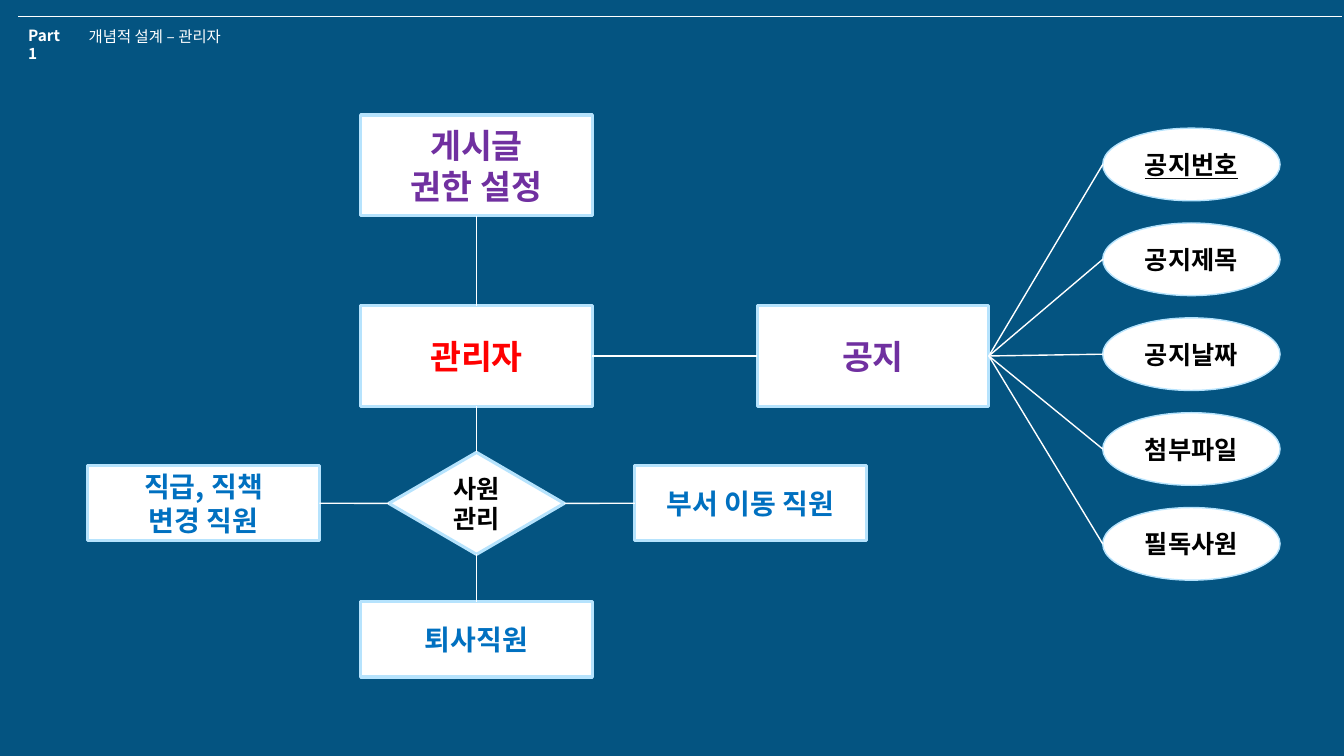
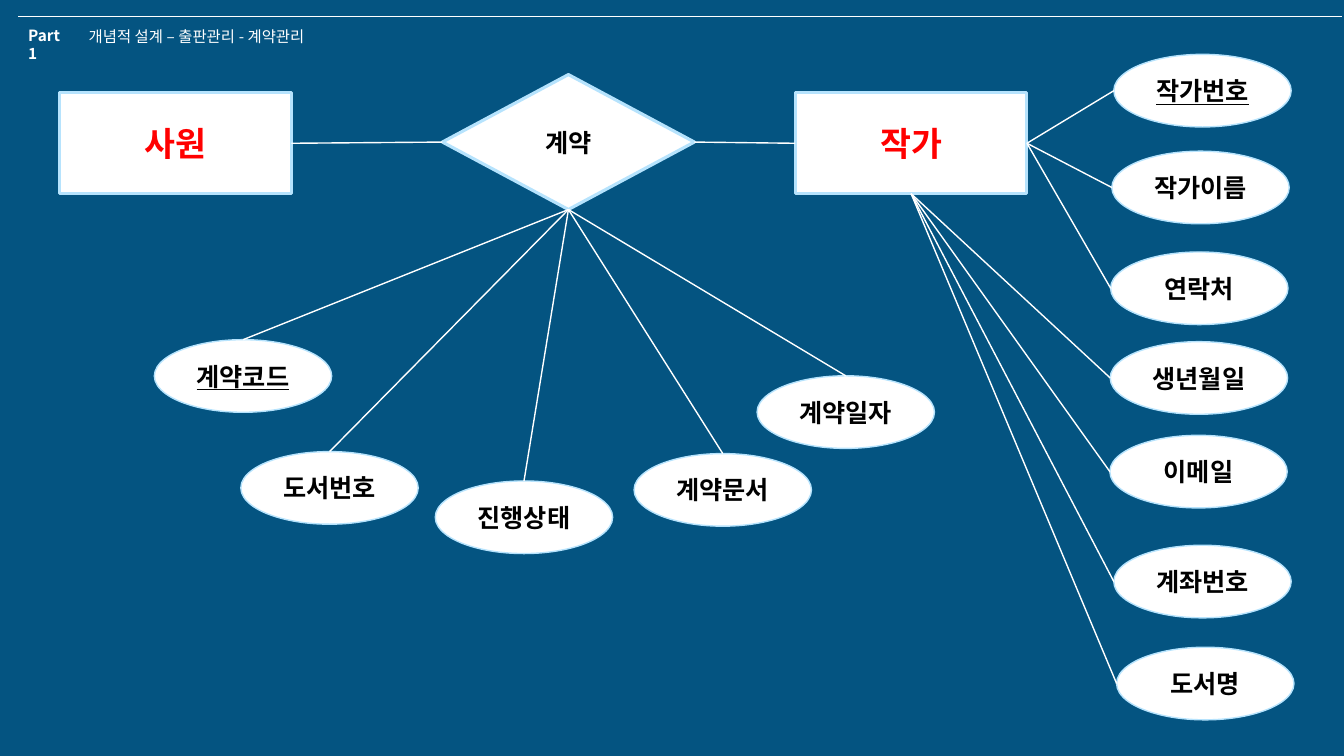
from lxml.etree import SubElement
from pptx import Presentation
from pptx.dml.color import RGBColor
from pptx.enum.shapes import MSO_CONNECTOR, MSO_SHAPE
from pptx.enum.text import MSO_ANCHOR, PP_ALIGN
from pptx.oxml.ns import qn
from pptx.util import Cm, Pt

FONT = "Noto Sans CJK KR"
NAVY, WHITE, SKY, BLACK = "045481", "FFFFFF", "B6E3FD", "000000"
RED, PURPLE, BLUE = "FF0000", "7030A0", "0070C0"

# Side of a shape: share of its width and height, connection site
SIDES = {
    "top": (0.5, 0, 0),
    "left": (0, 0.5, 1),
    "bottom": (0.5, 1, 2),
    "right": (1, 0.5, 3),
}


def color(hex_text):
    return RGBColor.from_string(hex_text)


class DiagramDeck:
    """Holds the shared style and the current slide."""

    def __init__(self):
        self.deck = Presentation()
        self.deck.slide_width, self.deck.slide_height = Cm(33.87), Cm(19.05)
        self.page = None

    def add_page(self, title):
        self.page = self.deck.slides.add_slide(self.deck.slide_layouts[5])
        background = self.page.background.fill
        background.solid()
        background.fore_color.rgb = color(NAVY)
        self.line(Cm(0.46), Cm(0.41), Cm(33.83), Cm(0.41), 0.5)

        # Header: part number and title
        heading = self.page.shapes.title
        heading.left, heading.top = Cm(1.98), Cm(0.56)
        heading.width, heading.height = Cm(15), Cm(0.74)
        part = self.page.shapes.add_textbox(Cm(0.46), Cm(0.53), Cm(1.55), Cm(0.74))
        for box, text, bold in ((heading, title, False), (part, "Part 1", True)):
            box.text_frame.vertical_anchor = MSO_ANCHOR.TOP
            self.label(box, text, 11, WHITE, bold, PP_ALIGN.LEFT)

    def label(self, box, text, size, ink, bold=True, align=PP_ALIGN.CENTER,
              underline=None):
        frame = box.text_frame
        frame.word_wrap = True
        frame.text = text
        for para in frame.paragraphs:
            para.alignment = align
            font = para.font
            font.size, font.bold, font.underline = Pt(size), bold, underline
            font.color.rgb = color(ink)
            font.name = FONT
            # Korean glyphs take the East Asian typeface
            properties = para._p.pPr.find(qn("a:defRPr"))
            SubElement(properties, qn("a:ea"), typeface=FONT)

    def node(self, kind, text, left, top, width, height, size, ink,
             border=2.25, underline=None):
        shape = self.page.shapes.add_shape(
            kind, Cm(left), Cm(top), Cm(width), Cm(height))
        shape.shadow.inherit = False
        shape.fill.solid()
        shape.fill.fore_color.rgb = color(WHITE)
        shape.line.color.rgb = color(SKY)
        shape.line.width = Pt(border)
        shape.text_frame.vertical_anchor = MSO_ANCHOR.MIDDLE
        self.label(shape, text, size, ink, underline=underline)
        return shape

    def entity(self, text, left, top, ink):
        return self.node(MSO_SHAPE.RECTANGLE, text, left, top, 5.84, 2.54, 24, ink)

    def group(self, text, left, top):
        return self.node(MSO_SHAPE.RECTANGLE, text, left, top, 5.84, 1.9, 20, BLUE)

    def relation(self, text, left, top, width, height):
        return self.node(MSO_SHAPE.FLOWCHART_DECISION, text, left, top,
                         width, height, 18, BLACK)

    def attribute(self, text, left, top, key=False):
        return self.node(MSO_SHAPE.OVAL, text, left, top, 4.47, 1.83, 18, BLACK,
                         border=1, underline=key or None)

    def line(self, x1, y1, x2, y2, width=1):
        connector = self.page.shapes.add_connector(
            MSO_CONNECTOR.STRAIGHT, x1, y1, x2, y2)
        connector.line.color.rgb = color(WHITE)
        connector.line.width = Pt(width)
        SubElement(connector._element.spPr, qn("a:effectLst"))
        return connector

    def link(self, start, start_side, end, end_side):
        points, sites = [], []
        for shape, side in ((start, start_side), (end, end_side)):
            across, down, site = SIDES[side]
            points += [int(shape.left + across * shape.width),
                       int(shape.top + down * shape.height)]
            # An ellipse has eight sites, so every second one is a side
            oval = shape.auto_shape_type == MSO_SHAPE.OVAL
            sites.append(site * 2 if oval else site)
        connector = self.line(*points)
        connector.begin_connect(start, sites[0])
        connector.end_connect(end, sites[1])
        # Connecting assumes four sites, so put the ends on the chosen sides
        connector.begin_x, connector.begin_y = points[:2]
        connector.end_x, connector.end_y = points[2:]

    def attributes(self, owner, owner_side, side, items):
        """Links (text, left, top) ellipses to one side of their owner."""
        for text, left, top in items:
            key = text in ("공지번호", "계약코드", "작가번호")
            self.link(owner, owner_side, self.attribute(text, left, top, key), side)


def admin_page(deck):
    deck.add_page("개념적 설계 – 관리자")

    # Administrator and what it controls
    rights = deck.entity("게시글\n권한 설정", 9.09, 2.9, PURPLE)
    admin = deck.entity("관리자", 9.09, 7.7, RED)
    notice = deck.entity("공지", 19.08, 7.7, PURPLE)
    staff = deck.relation("사원\n관리", 9.8, 11.4, 4.42, 2.57)
    deck.link(rights, "bottom", admin, "top")
    deck.link(admin, "right", notice, "left")
    deck.link(admin, "bottom", staff, "top")

    # Staff groups
    for text, left, top, side, back in (
            ("직급, 직책\n변경 직원", 2.21, 11.73, "left", "right"),
            ("부서 이동 직원", 16, 11.73, "right", "left"),
            ("퇴사직원", 9.09, 15.16, "bottom", "top")):
        deck.link(staff, side, deck.group(text, left, top), back)

    # Notice attributes in an even column
    names = ("공지번호", "공지제목", "공지날짜", "첨부파일", "필독사원")
    deck.attributes(notice, "right", "left", [
        (name, 27.79, 3.23 + 2.39 * row) for row, name in enumerate(names)])


def contract_page(deck):
    deck.add_page("개념적 설계 – 출판관리 - 계약관리")

    # Entities and their relation
    employee = deck.entity("사원", 1.5, 2.34, RED)
    contract = deck.relation("계약", 11.15, 1.88, 6.35, 3.4)
    author = deck.entity("작가", 20.04, 2.34, RED)
    deck.link(employee, "right", contract, "left")
    deck.link(contract, "right", author, "left")

    # Contract attributes
    deck.attributes(contract, "bottom", "top", (
        ("계약코드", 3.89, 8.56),
        ("도서번호", 6.07, 11.38),
        ("진행상태", 10.97, 12.12),
        ("계약문서", 15.98, 11.43),
        ("계약일자", 19.08, 9.47)))

    # Author attributes
    deck.attributes(author, "right", "left", (
        ("작가번호", 28.07, 1.37),
        ("작가이름", 28.02, 3.81),
        ("연락처", 27.99, 6.35)))
    deck.attributes(author, "bottom", "left", (
        ("생년월일", 27.98, 8.61),
        ("이메일", 27.97, 10.97),
        ("계좌번호", 28.07, 13.74),
        ("도서명", 28.14, 16.31)))


def main():
    diagrams = DiagramDeck()
    admin_page(diagrams)
    contract_page(diagrams)
    diagrams.deck.save("out.pptx")


if __name__ == "__main__":
    main()
